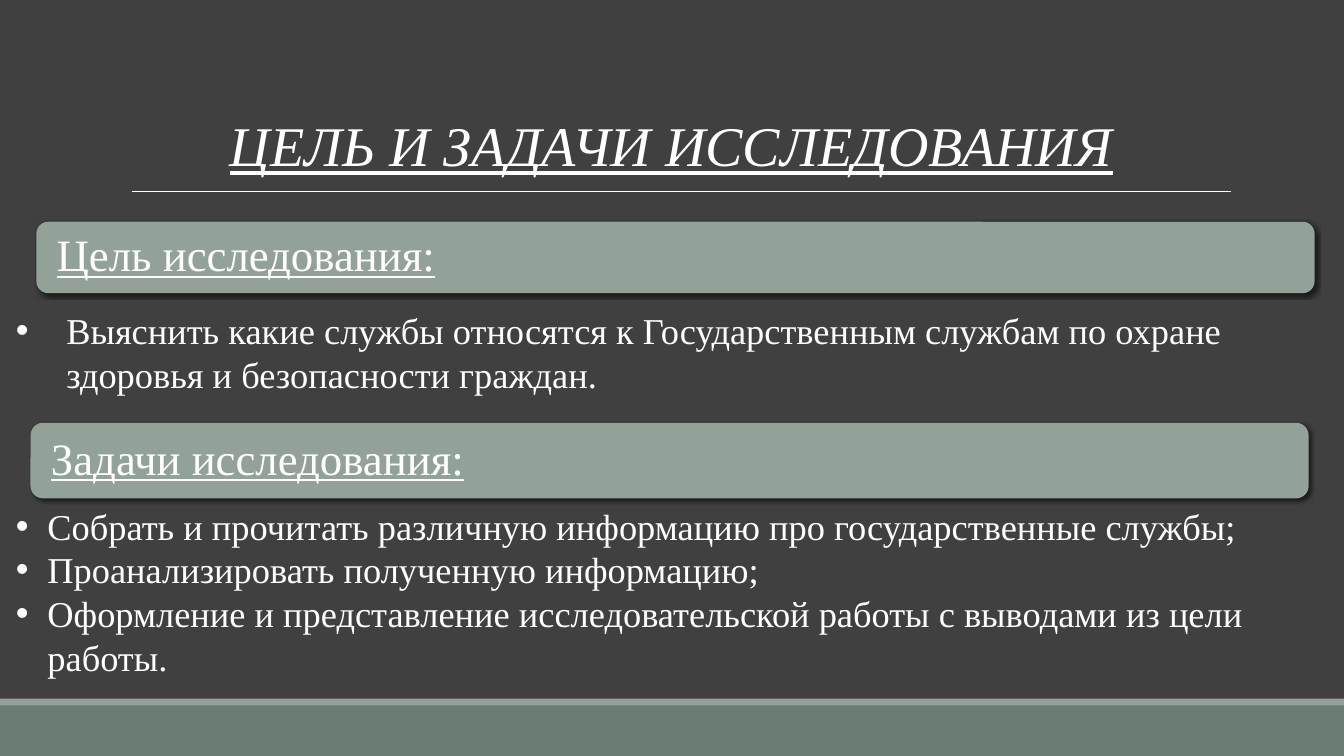
from dataclasses import dataclass

from lxml.etree import SubElement
from pptx import Presentation
from pptx.dml.color import RGBColor
from pptx.enum.shapes import MSO_CONNECTOR as CONNECTOR, MSO_SHAPE as SHAPE
from pptx.enum.text import MSO_ANCHOR as ANCHOR, MSO_AUTO_SIZE as FIT, PP_ALIGN as ALIGN
from pptx.oxml.ns import qn
from pptx.util import Pt


@dataclass(frozen=True)
class Theme:
    background: RGBColor = RGBColor.from_string("404040")
    sage: RGBColor = RGBColor.from_string("93A299")
    moss: RGBColor = RGBColor.from_string("6B7D72")
    white: RGBColor = RGBColor.from_string("FFFFFF")
    face: str = "Times New Roman"
    title_size: int = 40
    heading_size: int = 32
    body_size: int = 26


THEME = Theme()
WIDTH, HEIGHT = 960, 540


def set_font(paragraph, size, **extra):
    values = {"name": THEME.face, "size": Pt(size), **extra}
    font = paragraph.runs[0].font
    for key, value in values.items():
        setattr(font, key, value)
    font.color.rgb = THEME.white


def add_block(slide, kind, left, top, width, height, color):
    block = slide.shapes.add_shape(kind, Pt(left), Pt(top), Pt(width), Pt(height))
    block.shadow.inherit = False
    block.fill.solid()
    block.fill.fore_color.rgb = color
    block.line.fill.background()
    return block


def add_rule(slide, left, right, y):
    rule = slide.shapes.add_connector(CONNECTOR.STRAIGHT, Pt(left), Pt(y), Pt(right), Pt(y))
    rule.line.color.rgb = THEME.white
    rule.line.width = Pt(0.5)
    SubElement(rule._element.spPr, qn("a:effectLst"))


def set_title(slide, text):
    title = slide.shapes.title
    place = {"left": Pt(157), "top": Pt(75.6), "width": Pt(651.6), "height": Pt(55.4)}
    for key, value in place.items():
        setattr(title, key, value)
    frame = title.text_frame
    frame.text = text
    frame.word_wrap = False
    frame.auto_size = FIT.SHAPE_TO_FIT_TEXT
    frame.vertical_anchor = ANCHOR.TOP
    frame.paragraphs[0].alignment = ALIGN.LEFT
    set_font(frame.paragraphs[0], THEME.title_size, italic=True, underline=True)


def add_drop_shadow(block):
    effects = block._element.spPr.find(qn("a:effectLst"))
    shadow = SubElement(effects, qn("a:outerShdw"), blurRad=str(Pt(3)), dist=str(Pt(2)),
                        dir=str(45 * 60000), algn="ctr", rotWithShape="0")
    black = SubElement(shadow, qn("a:srgbClr"), val="000000")
    SubElement(black, qn("a:alpha"), val="60000")


def add_heading(slide, text, left, top, height):
    banner = add_block(slide, SHAPE.ROUNDED_RECTANGLE, left, top, 913, height, THEME.sage)
    add_drop_shadow(banner)
    frame = banner.text_frame
    frame.text = text
    frame.word_wrap = True
    frame.vertical_anchor = ANCHOR.MIDDLE
    for side in ("left", "top", "right", "bottom"):
        setattr(frame, f"margin_{side}", Pt(12))
    line = frame.paragraphs[0]
    line.alignment = ALIGN.LEFT
    line.line_spacing = 0.9
    set_font(line, THEME.heading_size, underline=True)


def add_bullets(slide, items, top, height, indent):
    box = slide.shapes.add_textbox(Pt(4.3), Pt(top), Pt(948.2), Pt(height))
    frame = box.text_frame
    frame.word_wrap = True
    frame.auto_size = FIT.SHAPE_TO_FIT_TEXT
    for number, item in enumerate(items):
        point = frame.add_paragraph() if number else frame.paragraphs[0]
        properties = point._p.get_or_add_pPr()
        properties.set("marL", str(Pt(indent)))
        properties.set("indent", str(-Pt(indent)))
        SubElement(properties, qn("a:buFont"), typeface="Arial")
        SubElement(properties, qn("a:buChar"), char="•")
        point.add_run().text = item
        set_font(point, THEME.body_size)


def main():
    deck = Presentation()
    deck.slide_width, deck.slide_height = Pt(WIDTH), Pt(HEIGHT)
    slide = deck.slides.add_slide(deck.slide_layouts[5])
    slide.background.fill.solid()
    slide.background.fill.fore_color.rgb = THEME.background

    # Footer bands and title
    add_block(slide, SHAPE.RECTANGLE, 0, 504, WIDTH, 36, THEME.moss)
    add_block(slide, SHAPE.RECTANGLE, 0, 499, WIDTH, 5, THEME.sage)
    add_rule(slide, 94.3, 879.1, 136.8)
    set_title(slide, "ЦЕЛЬ И ЗАДАЧИ ИССЛЕДОВАНИЯ")

    # Goal
    add_heading(slide, "Цель исследования:", 26, 158.4, 51)
    add_bullets(slide, [
        "Выяснить какие службы относятся к Государственным службам по охране "
        "здоровья и безопасности граждан.",
    ], 216.7, 70.6, 36)

    # Tasks
    add_heading(slide, "Задачи исследования:", 21.8, 302, 54)
    add_bullets(slide, [
        "Собрать и прочитать различную информацию про государственные службы;",
        "Проанализировать полученную информацию;",
        "Оформление и представление исследовательской работы с выводами из цели работы.",
    ], 356.4, 154.8, 22.5)

    deck.save("out.pptx")


if __name__ == "__main__":
    main()
